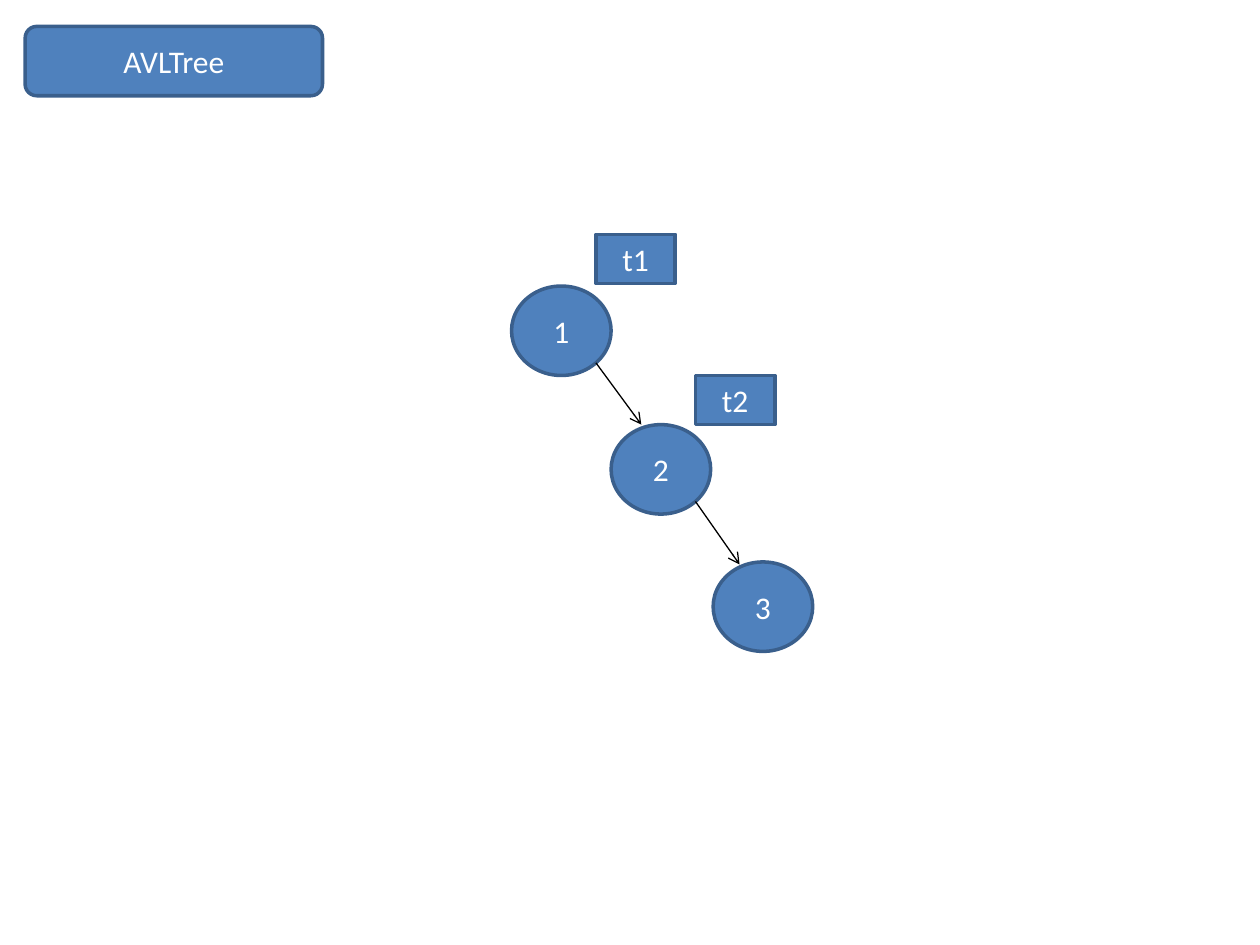
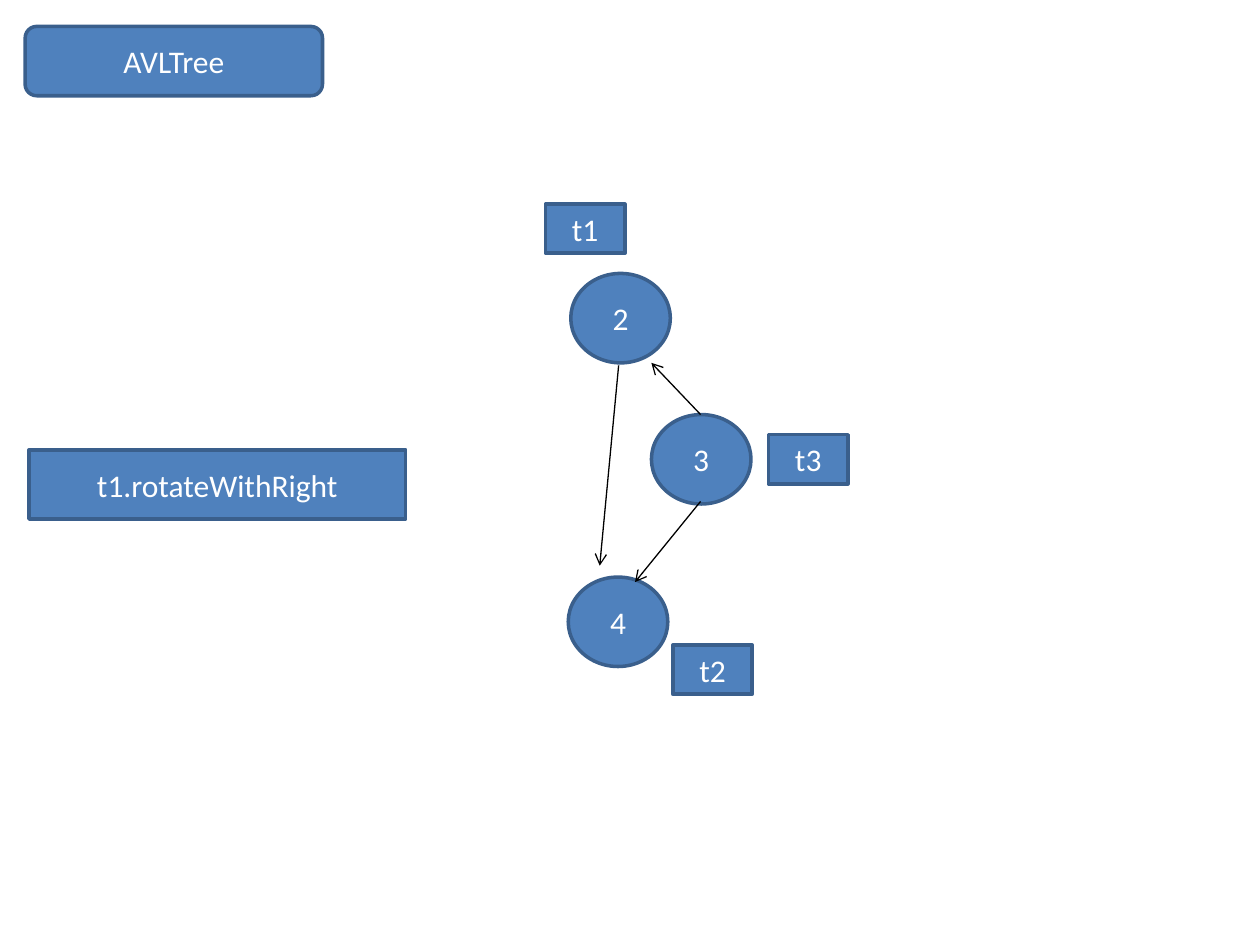
from lxml import etree
from pptx import Presentation
from pptx.dml.color import RGBColor
from pptx.enum import shapes, text
from pptx.oxml.ns import qn
from pptx.util import Inches, Pt

COLORS = {"fill": "4F81BD", "outline": "3A5F8C", "text": "FFFFFF", "arrow": "000000"}
FONT = "Calibri"
NODE_SIZE = (0.79, 0.71)
LABEL_SIZE = (0.63, 0.39)
BAR_HEIGHT = 0.55
KINDS = shapes.MSO_SHAPE


def color(name):
    return RGBColor.from_string(COLORS[name])


def add_box(page, kind, caption, left, top, width, height):
    box = page.shapes.add_shape(
        kind, Inches(left), Inches(top), Inches(width), Inches(height)
    )
    box.shadow.inherit = False
    box.fill.solid()
    box.fill.fore_color.rgb = color("fill")
    box.line.color.rgb = color("outline")
    box.line.width = Pt(2)
    frame = box.text_frame
    frame.word_wrap = True
    frame.vertical_anchor = text.MSO_ANCHOR.MIDDLE
    para = frame.paragraphs[0]
    para.text = caption
    para.alignment = text.PP_ALIGN.CENTER
    para.font.name = FONT
    para.font.size = Pt(18)
    para.font.color.rgb = color("text")


def add_node(page, key, left, top):
    add_box(page, KINDS.OVAL, key, left, top, *NODE_SIZE)


def add_label(page, name, left, top):
    add_box(page, KINDS.RECTANGLE, name, left, top, *LABEL_SIZE)


def add_arrow(page, start, end):
    points = [Inches(value) for value in (*start, *end)]
    arrow = page.shapes.add_connector(shapes.MSO_CONNECTOR.STRAIGHT, *points)
    arrow.line.color.rgb = color("arrow")
    arrow.line.width = Pt(0.75)
    etree.SubElement(arrow.line._get_or_add_ln(), qn("a:tailEnd"), type="arrow")
    etree.SubElement(arrow._element.spPr, qn("a:effectLst"))


def add_tree_page(deck, nodes, labels, arrows):
    page = deck.slides.add_slide(deck.slide_layouts[6])
    add_box(page, KINDS.ROUNDED_RECTANGLE, "AVLTree", 0.2, 0.21, 2.36, BAR_HEIGHT)
    for node in nodes:
        add_node(page, *node)
    for label in labels:
        add_label(page, *label)
    for arrow in arrows:
        add_arrow(page, *arrow)
    return page


def main():
    deck = Presentation()
    deck.slide_width = Inches(10)
    deck.slide_height = Inches(7.5)

    add_tree_page(
        deck,
        nodes=[("1", 4.06, 2.27), ("2", 4.85, 3.37), ("3", 5.66, 4.46)],
        labels=[("t1", 4.73, 1.86), ("t2", 5.52, 2.98)],
        arrows=[((4.73, 2.88), (5.09, 3.37)), ((5.52, 3.98), (5.87, 4.48))],
    )

    rotation = add_tree_page(
        deck,
        nodes=[("3", 5.17, 3.29), ("2", 4.53, 2.17), ("4", 4.51, 4.58)],
        labels=[("t1", 4.33, 1.62), ("t2", 5.34, 5.12), ("t3", 6.1, 3.45)],
        arrows=[
            ((4.91, 2.9), (4.76, 4.49)),
            ((5.56, 3.98), (5.04, 4.62)),
            ((5.56, 3.29), (5.17, 2.88)),
        ],
    )
    add_box(
        rotation, KINDS.RECTANGLE, "t1.rotateWithRight", 0.23, 3.57, 2.99, BAR_HEIGHT
    )

    deck.save("out.pptx")


if __name__ == "__main__":
    main()
